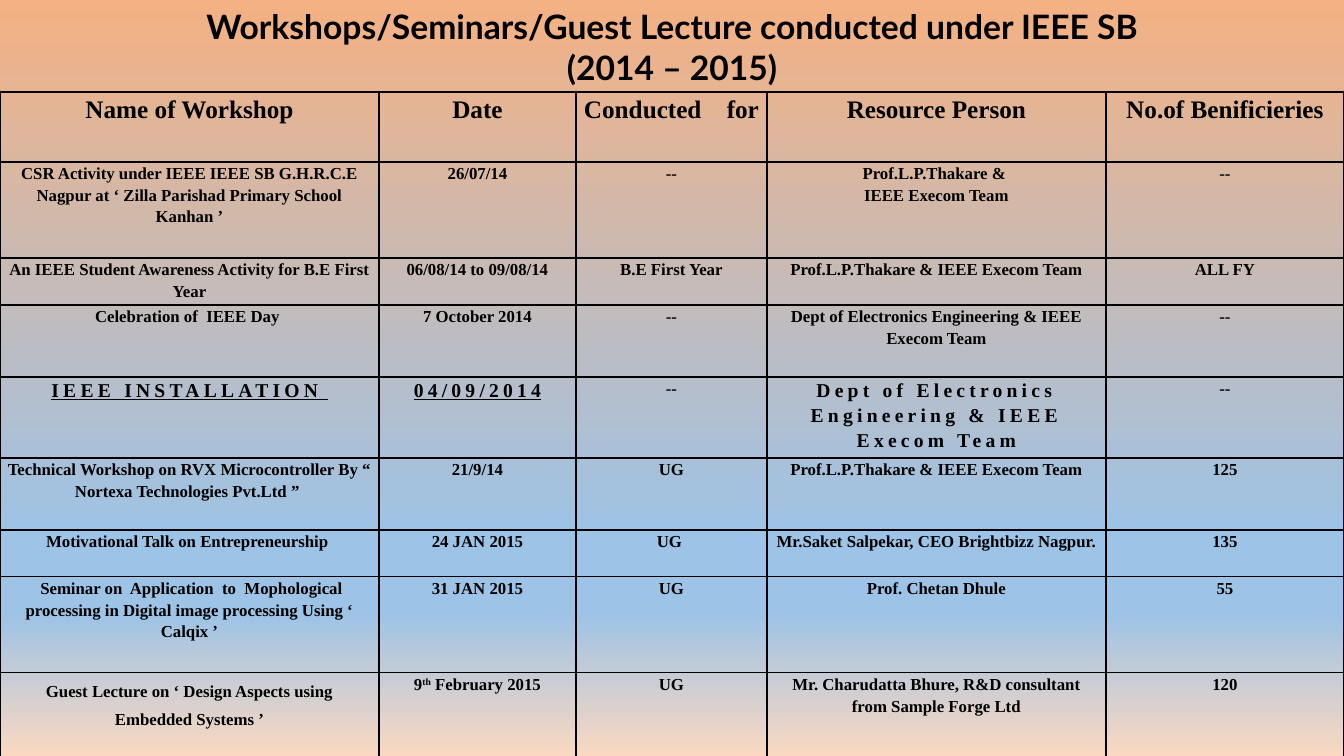
import pptx
import pptx.dml.color
import pptx.enum.text
import pptx.oxml.ns
import pptx.util
from lxml import etree

qn = pptx.oxml.ns.qn
PX_PER_INCH = 100.8
SLIDE_W, SLIDE_H = 1344, 756
TITLE_H = 92
BLACK = "000000"
SERIF = "Times New Roman"
BACKGROUND_STOPS = [(0, "F4B183"), (71, "9DC3E6"), (81, "9DC3E6"), (100, "FAD8C1")]

COLUMN_WIDTHS = [379, 197, 191, 339, 238]
ROW_HEIGHTS = [70, 96, 47, 72, 81, 72, 47, 96, 94]
HEADER = dict(size=18)
SPACED = dict(size=14, spacing=3)
SPACED_UNDERLINED = dict(SPACED, underline=True)
TEAM = "Prof.L.P.Thakare & IEEE Execom Team"
DEPARTMENT = "Dept of Electronics Engineering & IEEE Execom Team"

# A cell is a string, or a list of (text, format) runs.
WORKSHOPS = [
    [
        [("Name of Workshop", HEADER)],
        [("Date", HEADER)],
        [("Conducted", HEADER), (" ", dict(size=18, spacing=13.5)), ("for", HEADER)],
        [("Resource Person", HEADER)],
        [("No.of Benificieries", HEADER)],
    ],
    ["CSR Activity under IEEE IEEE SB G.H.R.C.E Nagpur at ‘ Zilla Parishad Primary School Kanhan ’",
     "26/07/14", "--", "Prof.L.P.Thakare & \nIEEE Execom Team", "--"],
    ["An IEEE Student Awareness Activity for B.E First Year",
     "06/08/14 to 09/08/14", "B.E First Year", TEAM, "ALL FY"],
    ["Celebration of  IEEE Day ", "7 October 2014", "--", DEPARTMENT, "--"],
    [[("IEEE INSTALLATION ", SPACED_UNDERLINED)], [("04/09/2014", SPACED_UNDERLINED)],
     "--", [(DEPARTMENT, SPACED)], "--"],
    ["Technical Workshop on RVX Microcontroller By “ Nortexa Technologies Pvt.Ltd ” ",
     "21/9/14", "UG", TEAM, "125"],
    ["Motivational Talk on Entrepreneurship ", "24 JAN 2015", "UG ",
     "Mr.Saket Salpekar, CEO Brightbizz Nagpur.", "135"],
    [" Seminar on  Application  to  Mophological processing in Digital image processing Using ‘ Calqix ’",
     "31 JAN 2015", "UG", "Prof. Chetan Dhule", "55"],
    ["Guest Lecture on ‘ Design Aspects using Embedded Systems ’",
     [("9", {}), ("th", dict(superscript=True)), (" February 2015", {})], "UG",
     "Mr. Charudatta Bhure, R&D consultant from Sample Forge Ltd", "120"],
]


def px(n):
    return pptx.util.Emu(round(n * 914400 / PX_PER_INCH))


def rgb(color):
    return pptx.dml.color.RGBColor.from_string(color)


def add_text(p, text, font=SERIF, size=12, color=BLACK, underline=False, spacing=0, superscript=False):
    r = p.add_run()
    r.text = text
    f = r.font
    f.name, f.size, f.bold, f.underline = font, pptx.util.Pt(size), True, underline
    f.color.rgb = rgb(color)
    if spacing:
        r._r.get_or_add_rPr().set("spc", str(round(spacing * 100)))
    if superscript:
        r._r.get_or_add_rPr().set("baseline", "30000")


def center(p, line_spacing):
    p.alignment = pptx.enum.text.PP_ALIGN.CENTER
    p.line_spacing = line_spacing


def paint_background(s):
    fill = s.background.fill
    fill.gradient()
    fill.gradient_angle = 270
    stops = s._element.find(".//" + qn("a:gsLst"))
    for stop in list(stops):
        stops.remove(stop)
    for position, color in BACKGROUND_STOPS:
        stop = etree.SubElement(stops, qn("a:gs"), pos=str(position * 1000))
        etree.SubElement(stop, qn("a:srgbClr"), val=color)


def set_title(s, lines):
    sp = s.shapes.title
    sp.left, sp.top, sp.width, sp.height = px(0), px(1), px(SLIDE_W), px(TITLE_H - 1)
    tf = sp.text_frame
    tf.word_wrap = True
    tf.auto_size = pptx.enum.text.MSO_AUTO_SIZE.NONE
    tf.vertical_anchor = pptx.enum.text.MSO_ANCHOR.MIDDLE
    p = tf.paragraphs[0]
    center(p, 1.0)
    for i, line in enumerate(lines):
        if i:
            p.add_line_break()
        add_text(p, line, font="Lato", size=24)


def set_borders(cell, color, width):
    tc_pr = cell._tc.get_or_add_tcPr()
    for i, side in enumerate(("a:lnL", "a:lnR", "a:lnT", "a:lnB")):
        ln = etree.Element(qn(side), w=str(pptx.util.Pt(width)))
        fill = etree.SubElement(ln, qn("a:solidFill"))
        etree.SubElement(fill, qn("a:srgbClr"), val=color)
        tc_pr.insert(i, ln)


def fill_cell(cell, content, line_spacing):
    cell.fill.background()
    set_borders(cell, BLACK, 1)
    cell.margin_left = cell.margin_right = px(7)
    cell.margin_top = cell.margin_bottom = 0
    if isinstance(content, str):
        paragraphs = [[(line, {})] for line in content.split("\n")]
    else:
        paragraphs = [content]
    tf = cell.text_frame
    for i, runs in enumerate(paragraphs):
        p = tf.add_paragraph() if i else tf.paragraphs[0]
        center(p, line_spacing)
        for text, style in runs:
            add_text(p, text, **style)


def add_workshop_table(s):
    frame = s.shapes.add_table(len(ROW_HEIGHTS), len(COLUMN_WIDTHS), px(0), px(TITLE_H),
                               px(SLIDE_W), px(sum(ROW_HEIGHTS)))
    table = frame.table
    table.first_row = table.horz_banding = False
    for column, width in zip(table.columns, COLUMN_WIDTHS):
        column.width = px(width)
    last_row = len(WORKSHOPS) - 1
    for i, (row, height, contents) in enumerate(zip(table.rows, ROW_HEIGHTS, WORKSHOPS)):
        row.height = px(height)
        for j, content in enumerate(contents):
            fill_cell(row.cells[j], content, 1.5 if (i, j) == (last_row, 0) else 1.15)


def main():
    prs = pptx.Presentation()
    prs.slide_width, prs.slide_height = px(SLIDE_W), px(SLIDE_H)
    s = prs.slides.add_slide(prs.slide_layouts[5])
    paint_background(s)
    set_title(s, ["Workshops/Seminars/Guest Lecture conducted under IEEE SB", "(2014 – 2015)"])
    add_workshop_table(s)
    prs.save("out.pptx")


if __name__ == "__main__":
    main()
